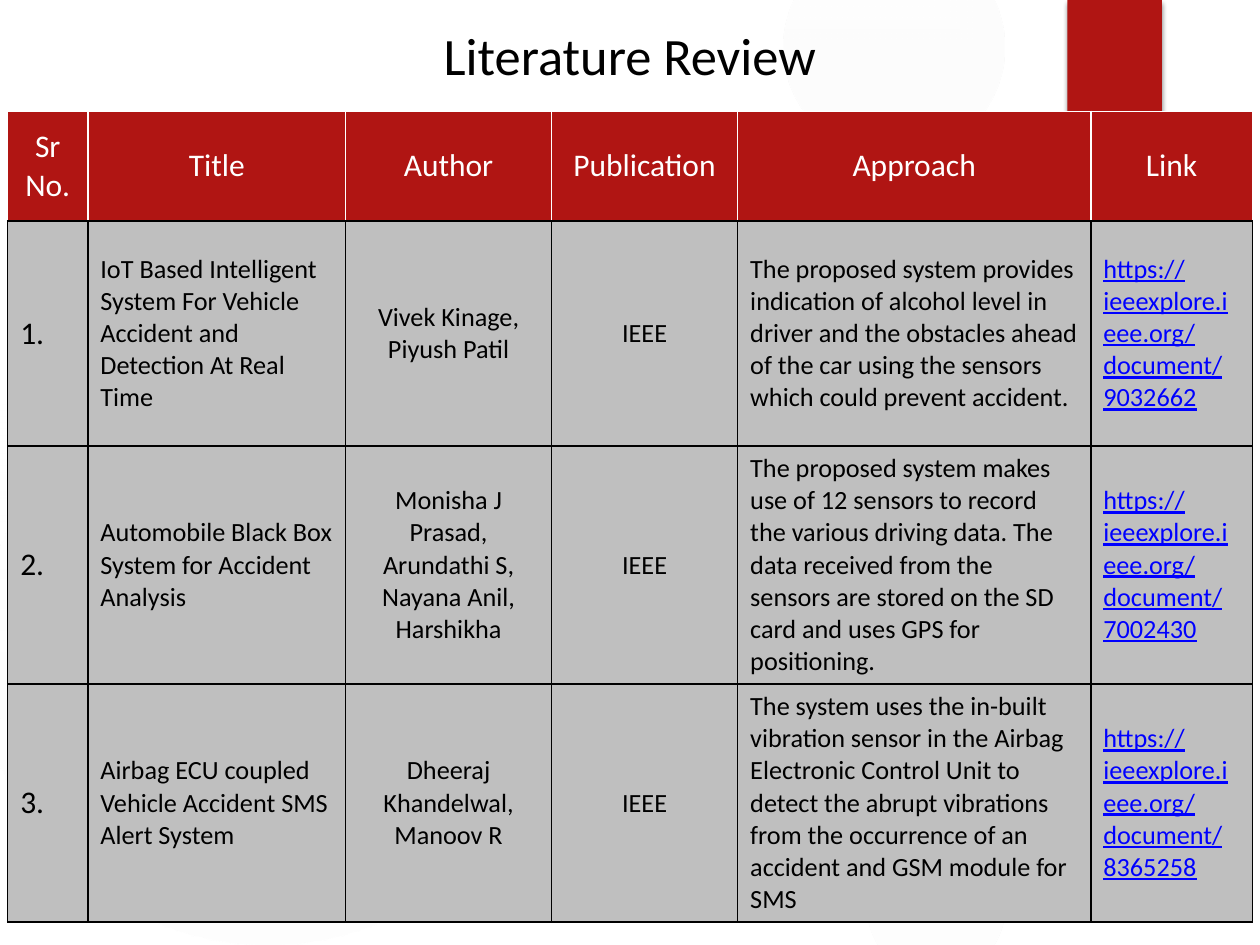
from dataclasses import dataclass

from pptx import Presentation
from pptx.dml.color import RGBColor
from pptx.enum.shapes import MSO_SHAPE
from pptx.enum.text import MSO_ANCHOR, PP_ALIGN
from pptx.oxml import parse_xml
from pptx.oxml.ns import nsdecls, qn
from pptx.util import Pt

OVAL, RECTANGLE = MSO_SHAPE.OVAL, MSO_SHAPE.RECTANGLE
MIDDLE = MSO_ANCHOR.MIDDLE
LEFT, CENTER = PP_ALIGN.LEFT, PP_ALIGN.CENTER


@dataclass(frozen=True)
class Theme:
    font: str = "Calibri"
    accent: str = "B01513"
    body_fill: str = "BFBFBF"
    bubble: str = "F3F3F3"
    ink: str = "000000"
    light: str = "FFFFFF"
    link: str = "0000FF"
    title_size: float = 30
    head_size: float = 18
    body_size: float = 15


@dataclass(frozen=True)
class Bubble:
    left: float
    top: float
    size: float
    opacity: int  # percent at the outer edge


@dataclass(frozen=True)
class Column:
    heading: str
    width: float
    align: PP_ALIGN = LEFT
    size: float = Theme.body_size
    color: str = Theme.ink
    underline: bool = False


@dataclass(frozen=True)
class Paper:
    title: str
    authors: str
    approach: str
    document: int


THEME = Theme()
BUBBLES = [
    Bubble(496, 132, 222, 7),
    Bubble(448, -36, 126, 14),
    Bubble(496, 480, 78, 9),
    Bubble(-12, 210, 330, 11),
    Bubble(-66, 228, 186, 8),
]
COLUMNS = [
    Column("Sr No.", 45.8, size=THEME.head_size),
    Column("Title", 147.4),
    Column("Author", 117.6, CENTER),
    Column("Publication", 106.4, CENTER),
    Column("Approach", 201.8),
    Column("Link", 92.4, color=THEME.link, underline=True),
]
HEADER_HEIGHT = 62.6
PAPER_HEIGHTS = [128.8, 136, 136]
PAPERS = [
    Paper("IoT Based Intelligent System For Vehicle Accident and Detection At Real Time",
          "Vivek Kinage,\nPiyush Patil",
          "The proposed system provides indication of alcohol level in driver and the "
          "obstacles ahead of the car using the sensors which could prevent accident.",
          9032662),
    Paper("Automobile Black Box System for Accident Analysis",
          "Monisha J Prasad, Arundathi S, Nayana Anil, Harshikha",
          "The proposed system makes use of 12 sensors to record the various driving data. "
          "The data received from the sensors are stored on the SD card and uses GPS for "
          "positioning.",
          7002430),
    Paper("Airbag ECU coupled Vehicle Accident SMS Alert System",
          "Dheeraj Khandelwal,\nManoov R",
          "The system uses the in-built vibration sensor in the Airbag Electronic Control "
          "Unit to detect the abrupt vibrations from the occurrence of an accident and GSM "
          "module for SMS",
          8365258),
]


def format_text(frame, align: PP_ALIGN, size: float, color: str, underline: bool = False) -> None:
    for paragraph in frame.paragraphs:
        paragraph.alignment = align
        for run in paragraph.runs:
            font = run.font
            font.name, font.size, font.bold = THEME.font, Pt(size), False
            font.underline = underline
            font.color.rgb = RGBColor.from_string(color)


def add_bubble(slide, bubble: Bubble) -> None:
    """Draw a circle that fades in from above its top edge."""
    circle = slide.shapes.add_shape(OVAL, Pt(bubble.left), Pt(bubble.top),
                                    Pt(bubble.size), Pt(bubble.size))
    circle.shadow.inherit = False
    circle.line.fill.background()
    circle.fill.background()
    stops = "".join(
        f'<a:gs pos="{pos}"><a:srgbClr val="{THEME.bubble}">'
        f'<a:alpha val="{opacity * 1000}"/></a:srgbClr></a:gs>'
        for pos, opacity in ((0, 0), (100000, bubble.opacity)))
    gradient = parse_xml(
        f'<a:gradFill {nsdecls("a")} rotWithShape="1"><a:gsLst>{stops}</a:gsLst>'
        '<a:path path="rect"><a:fillToRect l="38000" t="-20000" r="62000" b="120000"/>'
        '</a:path></a:gradFill>')
    properties = circle._element.spPr
    properties.replace(properties.find(qn("a:noFill")), gradient)


def add_ribbon(slide) -> None:
    ribbon = slide.shapes.add_shape(RECTANGLE, Pt(610), Pt(0), Pt(54), Pt(86.4))
    ribbon.fill.solid()
    ribbon.fill.fore_color.rgb = RGBColor.from_string(THEME.accent)
    ribbon.line.fill.background()
    ribbon.shadow.inherit = False
    ribbon._element.spPr.find(qn("a:effectLst")).append(parse_xml(
        f'<a:outerShdw {nsdecls("a")} blurRad="{Pt(3)}" dist="{Pt(2)}" dir="5400000">'
        f'<a:srgbClr val="{THEME.ink}"><a:alpha val="45000"/></a:srgbClr></a:outerShdw>'))


def add_title(slide, title: str) -> None:
    frame = slide.shapes.add_textbox(Pt(62), Pt(-3), Pt(596), Pt(68)).text_frame
    frame.word_wrap = True
    frame.vertical_anchor = MIDDLE
    frame.text = title
    format_text(frame, CENTER, THEME.title_size, THEME.ink)


def style_cell(cell, fill: str, side_color: str, top_color: str) -> None:
    cell.vertical_anchor = MIDDLE
    properties = cell._tc.get_or_add_tcPr()
    edges = {"L": side_color, "R": side_color, "T": top_color, "B": THEME.ink}
    for edge, color in edges.items():
        properties.append(parse_xml(
            f'<a:ln{edge} {nsdecls("a")} w="{Pt(1)}"><a:solidFill>'
            f'<a:srgbClr val="{color}"/></a:solidFill></a:ln{edge}>'))
    cell.fill.solid()
    cell.fill.fore_color.rgb = RGBColor.from_string(fill)


def add_review_table(slide) -> None:
    heights = [HEADER_HEIGHT, *PAPER_HEIGHTS]
    table = slide.shapes.add_table(
        len(heights), len(COLUMNS), Pt(4.4), Pt(63.6),
        Pt(sum(column.width for column in COLUMNS)), Pt(sum(heights))).table
    for row, height in zip(table.rows, heights):
        row.height = Pt(height)
    for index, column in enumerate(COLUMNS):
        table.columns[index].width = Pt(column.width)
        heading = table.cell(0, index)
        heading.text_frame.text = column.heading
        format_text(heading.text_frame, CENTER, THEME.head_size, THEME.light)
        style_cell(heading, THEME.accent, THEME.light, THEME.light)
    for number, paper in enumerate(PAPERS, start=1):
        link = f"https://ieeexplore.ieee.org/document/{paper.document}"
        entries = [f"{number}.", paper.title, paper.authors, "IEEE", paper.approach, link]
        for index, (column, entry) in enumerate(zip(COLUMNS, entries)):
            cell = table.cell(number, index)
            cell.text_frame.text = entry
            format_text(cell.text_frame, column.align, column.size, column.color,
                        column.underline)
            style_cell(cell, THEME.body_fill, THEME.ink, THEME.ink)


def main() -> None:
    presentation = Presentation()
    presentation.slide_width, presentation.slide_height = Pt(720), Pt(540)
    slide = presentation.slides.add_slide(presentation.slide_layouts[6])
    for bubble in BUBBLES:
        add_bubble(slide, bubble)
    add_ribbon(slide)
    add_title(slide, "Literature Review")
    add_review_table(slide)
    presentation.save("out.pptx")


if __name__ == "__main__":
    main()
